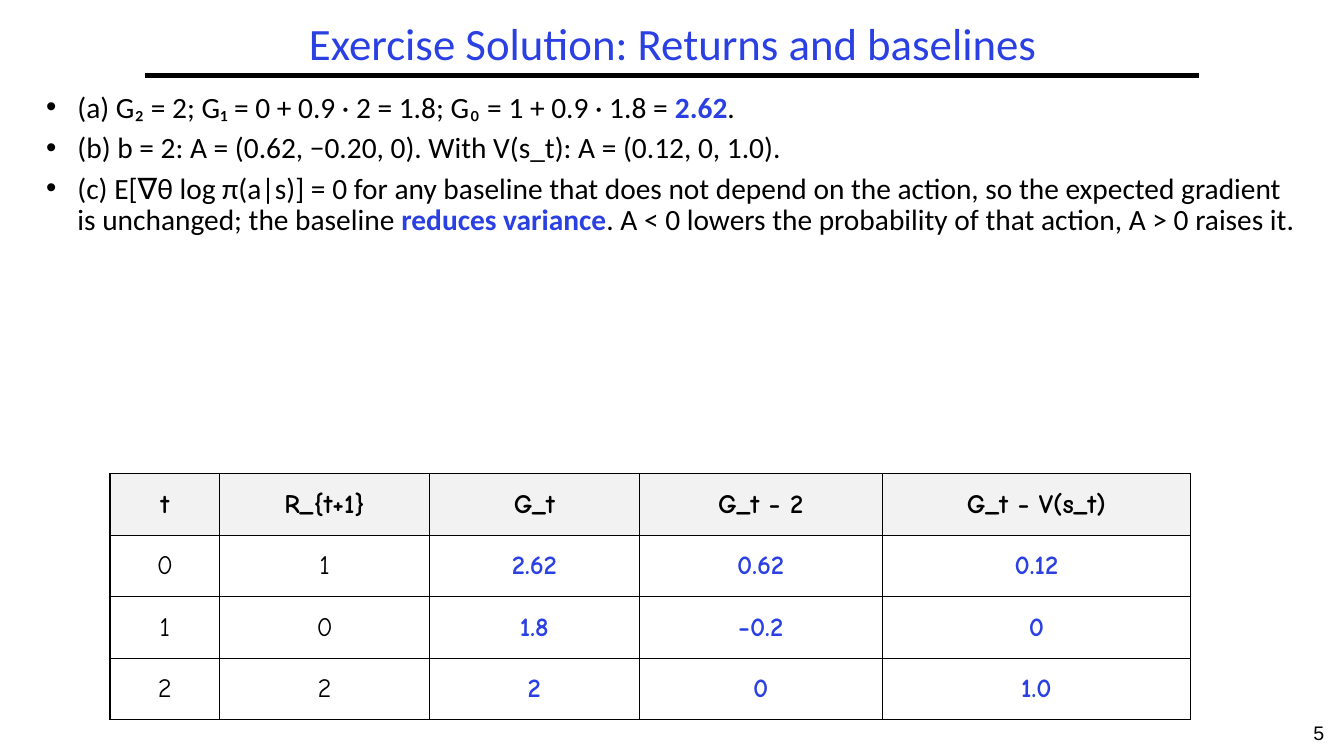
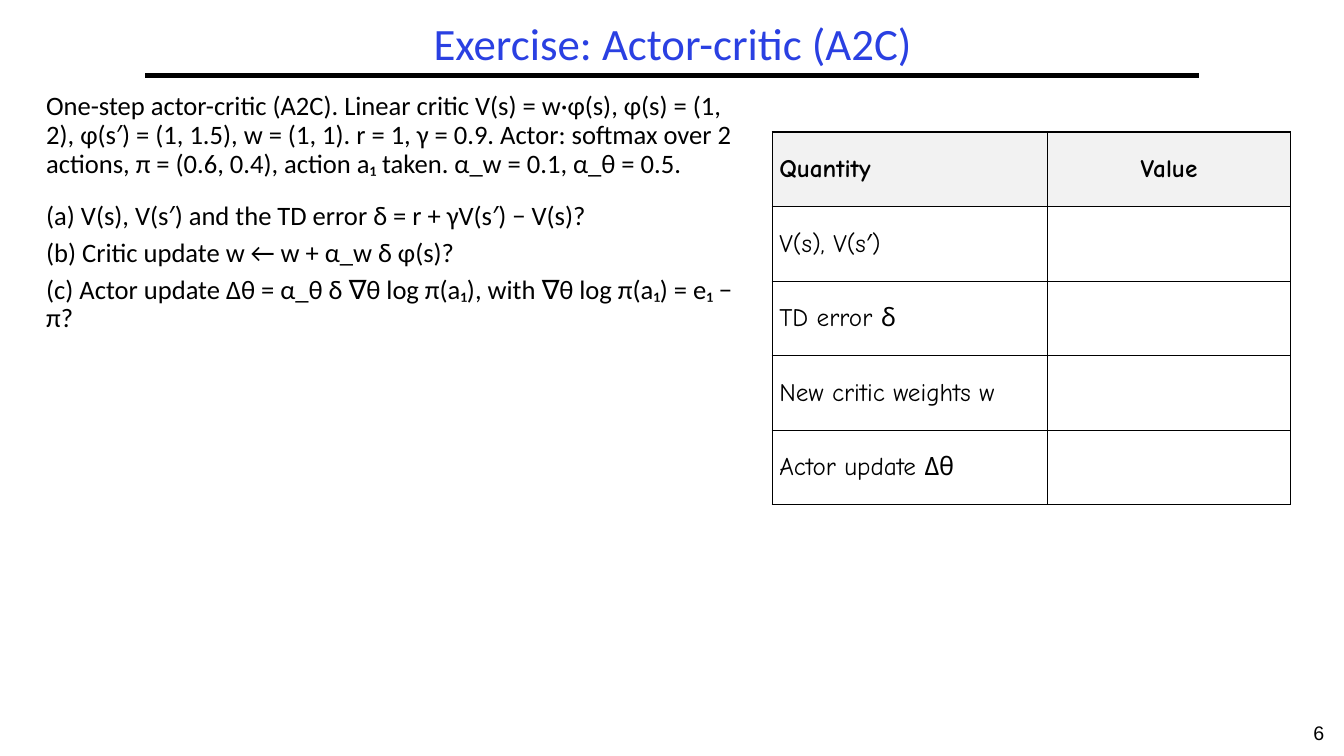
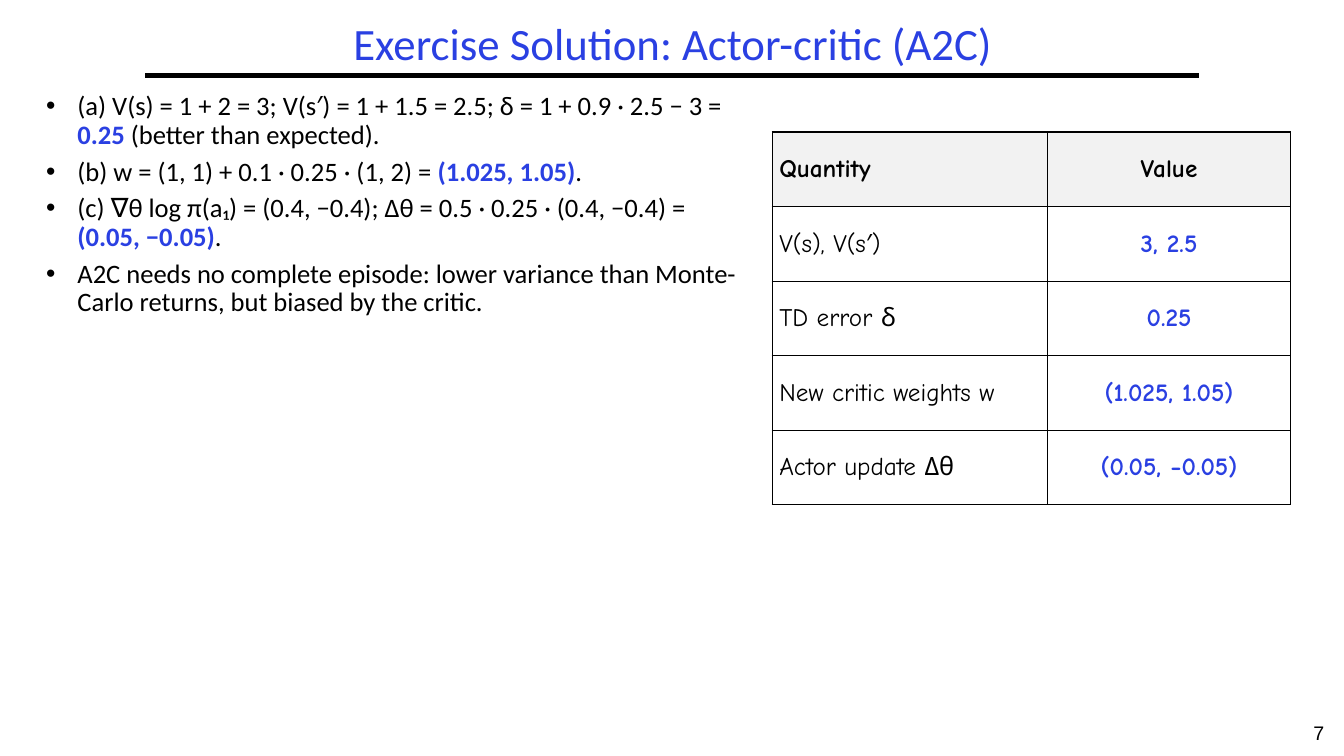
import pptx
import pptx.dml.color
import pptx.enum.shapes
import pptx.enum.text
import pptx.oxml.ns
import pptx.util
from lxml import etree

Inches = pptx.util.Inches
Pt = pptx.util.Pt
qn = pptx.oxml.ns.qn
CENTER = pptx.enum.text.PP_ALIGN.CENTER
LEFT = pptx.enum.text.PP_ALIGN.LEFT
MIDDLE = pptx.enum.text.MSO_ANCHOR.MIDDLE


class Deck:
    colors = {"text": "000000", "accent": "2A40E2", "header": "F2F2F2", "back": "FFFFFF"}
    text_font = "Calibri"
    table_font = "Comic Neue"
    number_font = "Arial"
    line_spacing = 0.9
    indent = 0.31

    def __init__(self, first_number):
        self.presentation = pptx.Presentation()
        self.presentation.slide_width = Inches(13.33)
        self.presentation.slide_height = Inches(7.5)
        self.number = first_number
        self.slide = None

    def color(self, name):
        return pptx.dml.color.RGBColor.from_string(self.colors[name])

    def style(self, run, font, size, color="text", bold=False):
        run.font.name = font
        run.font.size = Pt(size)
        run.font.bold = bold
        run.font.color.rgb = self.color(color)

    def text_box(self, left, top, width, height):
        box = self.slide.shapes.add_textbox(Inches(left), Inches(top), Inches(width), Inches(height))
        box.text_frame.word_wrap = True
        return box.text_frame

    def line_of_text(self, frame, text, font, size, color):
        frame.text = text
        paragraph = frame.paragraphs[0]
        paragraph.alignment = CENTER
        self.style(paragraph.runs[0], font, size, color)
        return paragraph

    def new_slide(self, title):
        self.slide = self.presentation.slides.add_slide(self.presentation.slide_layouts[6])
        self.slide.background.fill.solid()
        self.slide.background.fill.fore_color.rgb = self.color("back")
        self.rule()
        self.line_of_text(self.text_box(12.83, 7.1, 0.5, 0.4), str(self.number),
                          self.number_font, 14, "text")
        self.number += 1
        frame = self.text_box(1.44, 0.17, 10.47, 0.58)
        frame.vertical_anchor = MIDDLE
        paragraph = self.line_of_text(frame, title, self.text_font, 32, "accent")
        paragraph.line_spacing = self.line_spacing

    def rule(self):
        line = self.slide.shapes.add_connector(
            pptx.enum.shapes.MSO_CONNECTOR.STRAIGHT,
            Inches(1.44), Inches(0.75), Inches(11.89), Inches(0.75))
        line.line.color.rgb = self.color("text")
        line.line.width = Pt(3)
        etree.SubElement(line.element.spPr, qn("a:effectLst"))

    def bullet(self, paragraph):
        properties = paragraph._p.get_or_add_pPr()
        properties.set("marL", str(Inches(self.indent)))
        properties.set("indent", str(-Inches(self.indent)))
        etree.SubElement(properties, qn("a:buFont")).set("typeface", "Arial")
        etree.SubElement(properties, qn("a:buChar")).set("char", "•")

    def body(self, width, height, size, texts, bulleted=True, gaps=None):
        frame = self.text_box(0.36, 0.87, width, height)
        for index, text in enumerate(texts):
            paragraph = frame.add_paragraph() if index else frame.paragraphs[0]
            if bulleted:
                self.bullet(paragraph)
            paragraph.line_spacing = self.line_spacing
            if index:
                paragraph.space_before = Pt((gaps or {}).get(index, round(0.3 * size, 1)))
            for part, words in enumerate(text.split("*")):
                run = paragraph.add_run()
                run.text = words
                strong = part % 2 == 1
                self.style(run, self.text_font, size, "accent" if strong else "text", strong)

    def border(self, cell):
        properties = cell._tc.get_or_add_tcPr()
        for side in ("a:lnL", "a:lnR", "a:lnT", "a:lnB"):
            line = etree.SubElement(properties, qn(side), w=str(Pt(1)))
            fill = etree.SubElement(line, qn("a:solidFill"))
            etree.SubElement(fill, qn("a:srgbClr"), val=self.colors["text"])

    def table(self, left, top, widths, row_height, size, rows, answers_from, left_columns=0):
        frame = self.slide.shapes.add_table(
            len(rows), len(widths), Inches(left), Inches(top),
            Inches(sum(widths)), Inches(row_height * len(rows)))
        table = frame.table
        table.first_row = False
        table.horz_banding = False
        for column, width in zip(table.columns, widths):
            column.width = Inches(width)
        for row_index, row in enumerate(rows):
            table.rows[row_index].height = Inches(row_height)
            for column_index, text in enumerate(row):
                cell = table.cell(row_index, column_index)
                header = row_index == 0
                answer = not header and column_index >= answers_from
                self.border(cell)
                if header:
                    cell.fill.solid()
                    cell.fill.fore_color.rgb = self.color("header")
                else:
                    cell.fill.background()
                cell.vertical_anchor = MIDDLE
                cell.margin_left = cell.margin_right = Inches(0.07)
                cell.margin_top = cell.margin_bottom = Inches(0.03)
                cell.text_frame.text = text
                paragraph = cell.text_frame.paragraphs[0]
                paragraph.alignment = LEFT if column_index < left_columns else CENTER
                for run in paragraph.runs:
                    self.style(run, self.table_font, size,
                               "accent" if answer else "text", header or answer)

    def quantity_table(self, values):
        quantities = ["V(s), V(s′)", "TD error δ", "New critic weights w", "Actor update Δθ"]
        rows = [("Quantity", "Value"), *zip(quantities, values)]
        self.table(7.66, 1.31, [2.73, 2.41], 0.74, 18, rows, answers_from=1, left_columns=1)


def main():
    deck = Deck(first_number=5)

    deck.new_slide("Exercise Solution: Returns and baselines")
    deck.body(12.58, 3.72, 21, [
        "(a) G₂ = 2; G₁ = 0 + 0.9 · 2 = 1.8; G₀ = 1 + 0.9 · 1.8 = *2.62*.",
        "(b) b = 2: A = (0.62, −0.20, 0). With V(s_t): A = (0.12, 0, 1.0).",
        "(c) E[∇θ log π(a|s)] = 0 for any baseline that does not depend on the action, "
        "so the expected gradient is unchanged; the baseline *reduces variance*. "
        "A < 0 lowers the probability of that action, A > 0 raises it.",
    ])
    deck.table(1.09, 4.7, [1.09, 2.08, 2.08, 2.41, 3.06], 0.61, 19, [
        ("t", "R_{t+1}", "G_t", "G_t − 2", "G_t − V(s_t)"),
        ("0", "1", "2.62", "0.62", "0.12"),
        ("1", "0", "1.8", "−0.2", "0"),
        ("2", "2", "2", "0", "1.0"),
    ], answers_from=2)

    deck.new_slide("Exercise: Actor-critic (A2C)")
    deck.body(7.11, 6.01, 19, [
        "One-step actor-critic (A2C). Linear critic V(s) = w·φ(s), φ(s) = (1, 2), "
        "φ(s′) = (1, 1.5), w = (1, 1). r = 1, γ = 0.9. Actor: softmax over 2 actions, "
        "π = (0.6, 0.4), action a₁ taken. α_w = 0.1, α_θ = 0.5.",
        "(a) V(s), V(s′) and the TD error δ = r + γV(s′) − V(s)?",
        "(b) Critic update w ← w + α_w δ φ(s)?",
        "(c) Actor update Δθ = α_θ δ ∇θ log π(a₁), with ∇θ log π(a₁) = e₁ − π?",
    ], bulleted=False, gaps={1: 17})
    deck.quantity_table([""] * 4)

    deck.new_slide("Exercise Solution: Actor-critic (A2C)")
    deck.body(7.11, 6.01, 19, [
        "(a) V(s) = 1 + 2 = 3; V(s′) = 1 + 1.5 = 2.5; δ = 1 + 0.9 · 2.5 − 3 = "
        "*0.25* (better than expected).",
        "(b) w = (1, 1) + 0.1 · 0.25 · (1, 2) = *(1.025, 1.05)*.",
        "(c) ∇θ log π(a₁) = (0.4, −0.4); Δθ = 0.5 · 0.25 · (0.4, −0.4) = *(0.05, −0.05)*.",
        "A2C needs no complete episode: lower variance than Monte-Carlo returns, "
        "but biased by the critic.",
    ])
    deck.quantity_table(["3, 2.5", "0.25", "(1.025, 1.05)", "(0.05, −0.05)"])

    deck.presentation.save("out.pptx")


if __name__ == "__main__":
    main()
